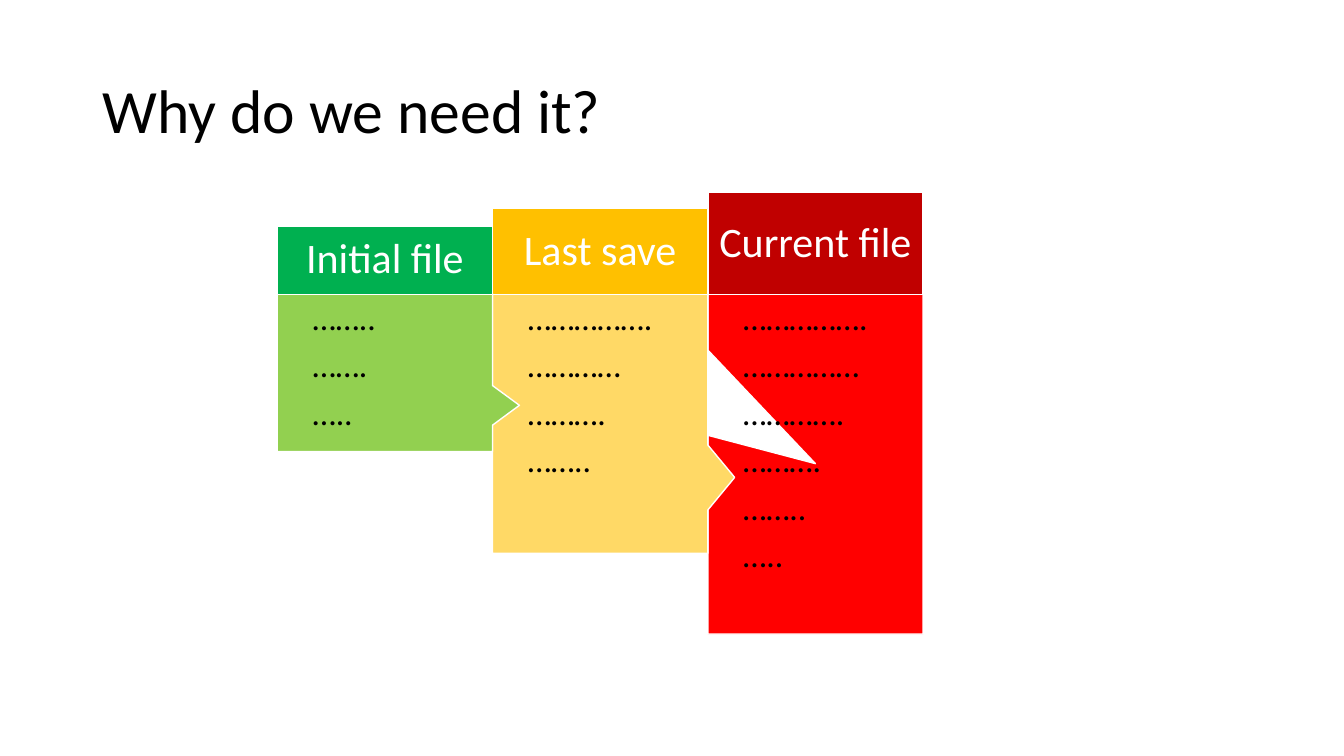
from pptx import Presentation
from pptx.dml.color import RGBColor
from pptx.enum.shapes import MSO_SHAPE
from pptx.enum.text import MSO_ANCHOR, PP_ALIGN
from pptx.util import Inches, Pt


def color(value):
    """Turn a hex string into a colour."""
    return RGBColor.from_string(value)


def write(tf, lines, size, fill, align=PP_ALIGN.LEFT, anchor=MSO_ANCHOR.TOP,
          inset=0.1, left=None, after=0):
    """Fill a text frame with one paragraph per line."""
    tf.word_wrap = True
    tf.vertical_anchor = anchor
    tf.margin_top = tf.margin_right = tf.margin_bottom = Inches(inset)
    tf.margin_left = Inches(inset if left is None else left)
    for i, line in enumerate(lines):
        p = tf.add_paragraph() if i else tf.paragraphs[0]
        p.alignment = align
        p.line_spacing = 0.9
        p.space_before = Pt(0)
        p.space_after = Pt(after)
        r = p.add_run()
        r.text = line
        r.font.name = "Calibri"
        r.font.size = Pt(size)
        r.font.color.rgb = color(fill)


class Deck:
    """Hold the style and the current slide."""

    ink, paper = "000000", "FFFFFF"
    col_left, col_width, body_top = 2.75, 2.135, 2.91

    def __init__(self):
        """Start a widescreen deck with one title-only slide."""
        self.prs = Presentation()
        self.prs.slide_width = Inches(13.33)
        self.prs.slide_height = Inches(7.5)
        self.s = self.prs.slides.add_slide(self.prs.slide_layouts[5])

    def title(self, text):
        """Place and format the title."""
        sp = self.s.shapes.title
        sp.left, sp.top = Inches(0.92), Inches(0.4)
        sp.width, sp.height = Inches(11.5), Inches(1.45)
        write(sp.text_frame, [text], 44, self.ink, anchor=MSO_ANCHOR.MIDDLE, inset=0.05, left=0.1)

    def box(self, kind, left, top, height, fill):
        """Add a filled shape of column width with a white outline."""
        sp = self.s.shapes.add_shape(kind, Inches(left), Inches(top),
                                     Inches(self.col_width), Inches(height))
        sp.shadow.inherit = False
        sp.fill.solid()
        sp.fill.fore_color.rgb = color(fill)
        sp.line.color.rgb = color(self.paper)
        sp.line.width = Pt(1)
        return sp

    def column(self, index, heading, lines, head_height, body_height, head_fill, body_fill, tip):
        """Add a file version: a callout body under a heading."""
        left = self.col_left + index * self.col_width
        body = self.box(MSO_SHAPE.RECTANGULAR_CALLOUT, left, self.body_top, body_height, body_fill)
        body.adjustments[0], body.adjustments[1] = tip
        write(body.text_frame, lines, 24, self.ink, inset=0.08, left=0.35, after=8)
        head = self.box(MSO_SHAPE.RECTANGLE, left, 2.92 - head_height, head_height, head_fill)
        write(head.text_frame, [heading], 30, self.paper, align=PP_ALIGN.CENTER,
              anchor=MSO_ANCHOR.MIDDLE)


def main():
    """Build and save the slide."""
    deck = Deck()
    deck.title("Why do we need it?")
    onward, centre = (0.625, 0.208), (0, 0)
    versions = [
        ("Initial file", ["……..", "…….", "….."], 0.68, 1.57, "00B050", "92D050", onward),
        ("Last save", ["…………….", "…………", "……….", "…….."],
         0.85, 2.58, "FFC000", "FFD966", onward),
        ("Current file", ["…………….", "……………", "………….", "……….", "……..", "….."],
         1.01, 3.38, "C00000", "FF0000", centre),
    ]
    for index, version in reversed(list(enumerate(versions))):
        deck.column(index, *version)
    deck.prs.save("out.pptx")


if __name__ == "__main__":
    main()
